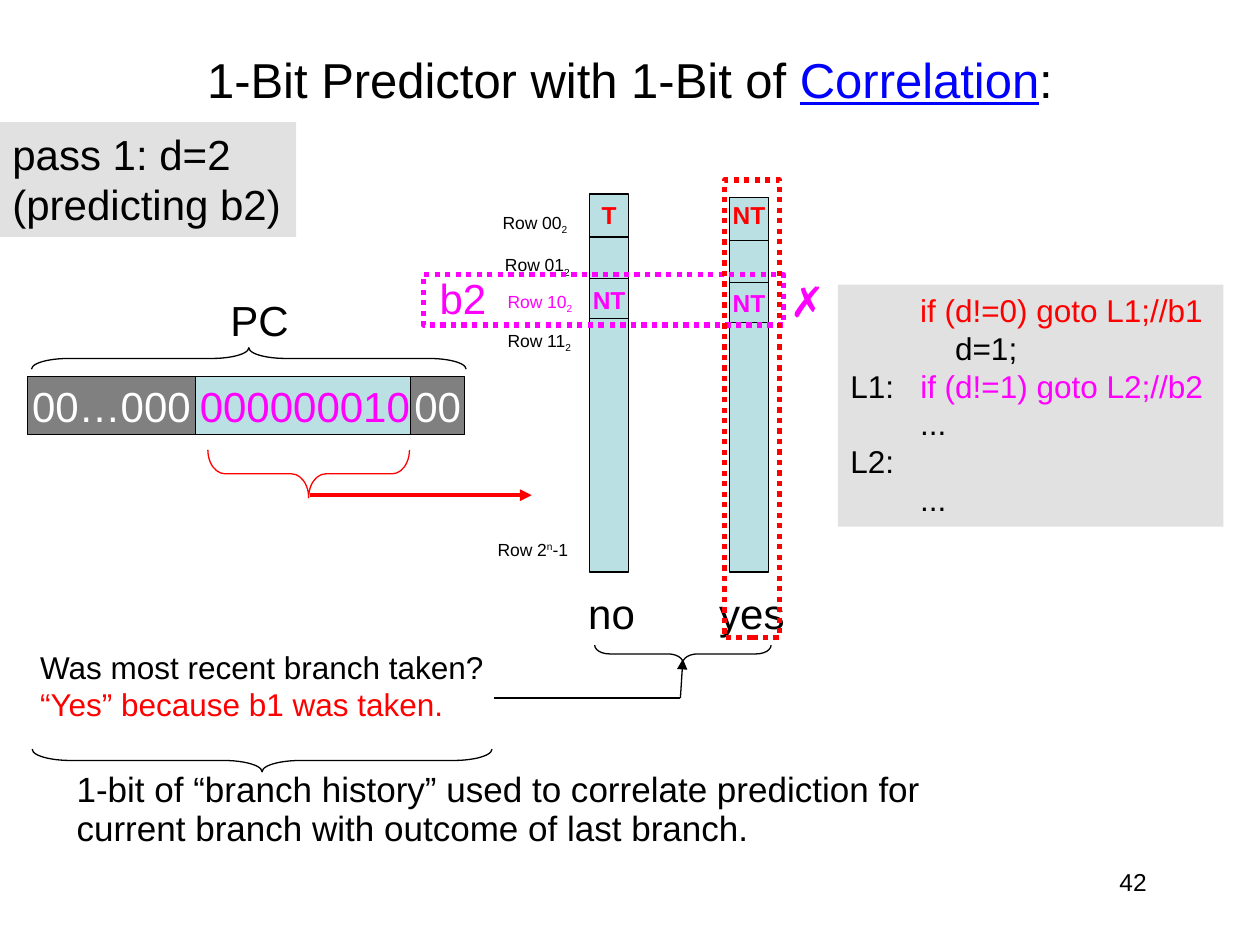
from pptx import Presentation
from pptx.dml.color import RGBColor
from pptx.enum.dml import MSO_LINE_DASH_STYLE as Dash
from pptx.enum.shapes import MSO_CONNECTOR as Conn, MSO_SHAPE as Shape
from pptx.enum.text import MSO_ANCHOR as Anchor, MSO_AUTO_SIZE as Auto, PP_ALIGN as Align
from pptx.oxml.ns import qn
from pptx.util import Inches, Pt
from lxml.etree import SubElement

COLS, ROWS = 100, 75
CELL = Inches(10) / COLS
COLORS = {
    "black": "000000", "white": "FFFFFF", "red": "FF0000", "pink": "FF00FF",
    "blue": "0000FF", "teal": "BBE0E3", "gray": "808080", "panel": "E1E1E1",
}


def rgb(name):
    return RGBColor.from_string(COLORS[name])


def grid(*units):
    return [round(u * CELL) for u in units]


def write(sp, paragraphs, size=24, color="black", bold=False, align=Align.LEFT,
          anchor=Anchor.TOP, wrap=False, grow=True, spacing=None):
    tf = sp.text_frame
    tf.word_wrap = wrap
    tf.auto_size = Auto.SHAPE_TO_FIT_TEXT if grow else Auto.NONE
    tf.vertical_anchor = anchor
    tf.margin_left = tf.margin_right = Inches(0.1)
    tf.margin_top = tf.margin_bottom = Inches(0.05)
    if isinstance(paragraphs, str):
        paragraphs = [[(paragraphs,)]]
    for i, runs in enumerate(paragraphs):
        p = tf.paragraphs[0] if i == 0 else tf.add_paragraph()
        p.alignment = align
        if spacing:
            p.line_spacing = spacing
        for content, *options in runs:
            r = p.add_run()
            r.text = content
            r.font.name = "Arial"
            r.font.size = Pt(size)
            r.font.bold = bold
            r.font.color.rgb = rgb(options[0] if options else color)
            if "underline" in options:
                r.font.underline = True
            if len(options) > 1 and isinstance(options[1], int):
                r.font._element.set("baseline", str(options[1] * 1000))


def text(s, at, paragraphs, **fmt):
    write(s.shapes.add_textbox(*grid(*at)), paragraphs, **fmt)


def box(s, at, fill=None, line=None, width=0.75, dash=None, kind=Shape.RECTANGLE):
    sp = s.shapes.add_shape(kind, *grid(*at))
    sp.shadow.inherit = False
    if fill:
        sp.fill.solid()
        sp.fill.fore_color.rgb = rgb(fill)
    else:
        sp.fill.background()
    if line:
        sp.line.color.rgb = rgb(line)
        sp.line.width = Pt(width)
        sp.line.dash_style = dash
    else:
        sp.line.fill.background()
    return sp


def brace(s, at, bend, kind=Shape.LEFT_BRACE, line="black"):
    sp = box(s, at, line=line, kind=kind)
    sp.rotation = 270
    sp.adjustments[0] = bend


def line(s, start, end, color="black", width=0.75, arrow=False):
    c = s.shapes.add_connector(Conn.STRAIGHT, *grid(*start, *end))
    c.line.color.rgb = rgb(color)
    c.line.width = Pt(width)
    if arrow:
        SubElement(c.line._get_or_add_ln(), qn("a:tailEnd"), type="triangle")
    SubElement(c._element.spPr, qn("a:effectLst"))


def history_table(s, left, top, height, first, name, name_at):
    box(s, (left, top, 3.1, height), "teal", "black")
    for drop in (3.4, 6.7, 9.9):
        line(s, (left, top + drop), (left + 3.1, top + drop))
    for label, y, color in ((first, 15.4, "red"), ("NT", top + 6.7, "pink")):
        text(s, (left - 0.75, y, 4.6, 3.4), label, size=14, color=color,
             bold=True, align=Align.CENTER)
    text(s, name_at, name)


def row_labels(s):
    rows = (("00", 38.9, 16.3, "black"), ("01", 39.1, 19.7, "black"),
            ("10", 39.3, 22.6, "pink"), ("11", 39.3, 25.7, "black"))
    for bits, x, y, color in rows:
        text(s, (x, y, 7.3, 2.6), [[("Row " + bits, color), ("2", color, -25)]],
             size=10, spacing=0.93)
    text(s, (38.5, 42.4, 7.8, 2.6),
         [[("Row 2",), ("n", "black", 30), ("-1",)]], size=10, spacing=0.93)


def program_counter(s):
    fields = ((14.4, 19.6, "000000010", "teal", "pink"),
              (2.2, 13.3, "00…000", "gray", "white"),
              (32.6, 4.3, "00", "gray", "white"))
    for x, w, bits, fill, color in fields:
        write(box(s, (x, 29.9, w, 4.6), fill, "black"), bits, color=color,
              align=Align.CENTER, anchor=Anchor.MIDDLE, grow=False)
    text(s, (17.3, 23.2, 6.7, 4.8), "PC", spacing=0.93)
    brace(s, (18.9, 11.2, 1.7, 34.5), 1.73, Shape.RIGHT_BRACE)
    brace(s, (22.6, 29.6, 3.8, 16), 0.36, line="red")
    line(s, (24.6, 39.3), (42.2, 39.3), "red", 2.25, arrow=True)


def panels(s):
    write(box(s, (0, 9.7, 23.5, 9.1), "panel"),
          [[("pass 1: d=2",)], [("(predicting b2)",)]])
    write(box(s, (66.5, 22.6, 30.6, 19.2), "panel"), [
        [("        if (d!=0) goto L1;//b1", "red")],
        [("            d=1;",)],
        [("L1:   ",), ("if (d!=1) goto L2;//b2", "pink")],
        [("        ...",)],
        [("L2:",)],
        [("        ...",)],
    ], size=18, wrap=True)


def branch_history(s):
    text(s, (2.2, 50.9, 38.2, 7.1),
         [[("Was most recent branch taken? ",), ("“Yes” because b1 was taken.", "red")]],
         size=18, wrap=True)
    text(s, (5.1, 60.7, 72.4, 7.3),
         "1-bit of “branch history” used to correlate prediction for "
         "current branch with outcome of last branch.",
         size=20, wrap=True, spacing=0.93)
    brace(s, (53.5, 44.9, 1.4, 14), 0.84)
    brace(s, (19.9, 42.1, 1.8, 36.5), 1.69)
    line(s, (39.2, 55.4), (54, 55.4))
    line(s, (54, 55.4), (54.2, 52.3), arrow=True)


def highlights(s):
    box(s, (33.6, 21.8, 28.6, 4), line="pink", width=3, dash=Dash.ROUND_DOT)
    box(s, (57.5, 14.3, 4.4, 36.3), line="red", width=3, dash=Dash.ROUND_DOT)
    text(s, (33.9, 21.5, 5.8, 4.8), "b2", color="pink", wrap=True, spacing=0.93)
    text(s, (61.7, 21.7, 4.2, 4.8), "✗", color="pink", spacing=0.93)


def main():
    prs = Presentation()
    prs.slide_width, prs.slide_height = grid(COLS, ROWS)
    s = prs.slides.add_slide(prs.slide_layouts[6])
    text(s, (7.5, 0, 85, 12.5),
         [[("1-Bit Predictor with 1-Bit of ",), ("Correlation", "blue", "underline"), (":",)]],
         size=28, align=Align.CENTER, anchor=Anchor.MIDDLE, wrap=True, grow=False)
    history_table(s, 46.8, 15.4, 30, "T", "no", (45.7, 46.1, 5.7, 5.1))
    history_table(s, 57.9, 15.7, 29.7, "NT", "yes", (56.1, 46.1, 7.2, 5.1))
    branch_history(s)
    panels(s)
    row_labels(s)
    program_counter(s)
    highlights(s)
    text(s, (71.7, 68.3, 20.3, 5), "42", size=14, align=Align.RIGHT, wrap=True, grow=False)
    prs.save("out.pptx")


if __name__ == "__main__":
    main()
